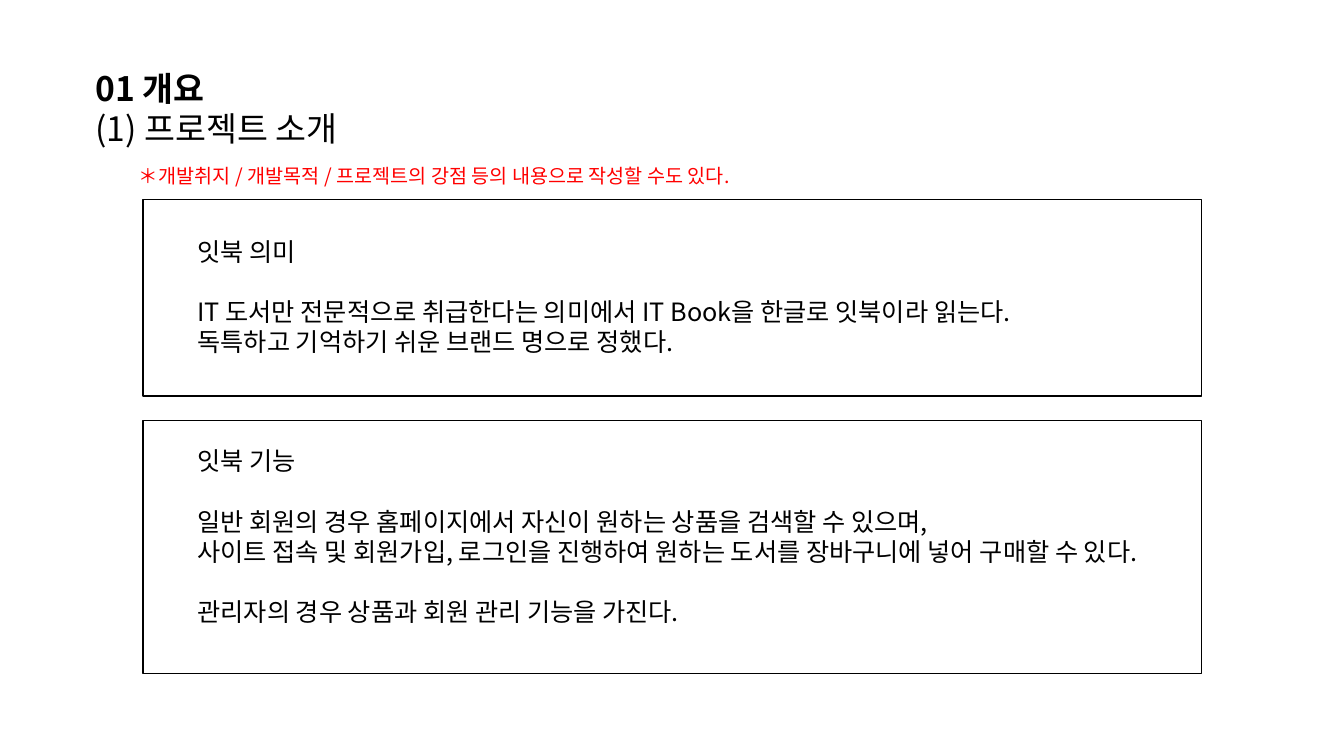
from dataclasses import dataclass

from lxml.etree import SubElement
from pptx import Presentation
from pptx.dml.color import RGBColor
from pptx.enum.shapes import MSO_SHAPE
from pptx.enum.text import MSO_AUTO_SIZE
from pptx.oxml.ns import qn
from pptx.slide import Slide
from pptx.util import Inches, Pt

FONT = "Noto Sans CJK KR"
BLACK, RED = "000000", "FF0000"
FRAME_LEFT, FRAME_WIDTH = 1.42, 10.5
BODY_LEFT = 1.86
LINE_GAP = 21.6


@dataclass
class Line:
    """One line of text, with the space above it in points."""
    text: str
    bold: bool = False
    gap: float = 0


@dataclass
class TextBlock:
    """Lines sharing a place, size and colour."""
    left: float
    top: float
    width: float
    height: float
    size: int
    lines: list[Line]
    color: str = BLACK


@dataclass
class Section:
    """A framed part of the overview with its text."""
    frame_top: float
    frame_height: float
    body: TextBlock


def rgb(value: str) -> RGBColor:
    """Turn a hex string into a colour."""
    return RGBColor.from_string(value)


def apply(target: object, values: dict) -> None:
    """Set each attribute named in values."""
    for name, value in values.items():
        setattr(target, name, value)


def add_block(slide: Slide, block: TextBlock) -> None:
    """Add a text box that holds the lines of a block."""
    place = map(Inches, (block.left, block.top, block.width, block.height))
    frame = slide.shapes.add_textbox(*place).text_frame
    apply(frame, {"word_wrap": False, "auto_size": MSO_AUTO_SIZE.SHAPE_TO_FIT_TEXT})
    for index, line in enumerate(block.lines):
        paragraph = frame.add_paragraph() if index else frame.paragraphs[0]
        paragraph.space_before = Pt(line.gap)
        run = paragraph.add_run()
        run.text = line.text
        apply(run.font, {"name": FONT, "size": Pt(block.size), "bold": line.bold})
        run.font.color.rgb = rgb(block.color)
        SubElement(run.font._element, qn("a:ea"), typeface=FONT)


def add_section(slide: Slide, section: Section) -> None:
    """Add the text of a section and the frame around it."""
    add_block(slide, section.body)
    place = map(Inches, (FRAME_LEFT, section.frame_top, FRAME_WIDTH, section.frame_height))
    frame = slide.shapes.add_shape(MSO_SHAPE.RECTANGLE, *place)
    frame.shadow.inherit = False
    frame.fill.background()
    frame.line.color.rgb = rgb(BLACK)
    frame.line.width = Pt(1)


HEADING = TextBlock(0.85, 0.62, 2.73, 0.91, 24, [
    Line("01 개요", bold=True),
    Line("(1) 프로젝트 소개"),
])
REMARK = TextBlock(1.28, 1.58, 6.85, 0.34, 14, [
    Line("*개발취지 / 개발목적 / 프로젝트의 강점 등의 내용으로 작성할 수도 있다.".replace("*", "\uff0a")),
], RED)
SECTIONS = [
    Section(1.98, 1.95, TextBlock(BODY_LEFT, 2.29, 8.52, 1.31, 18, [
        Line("잇북 의미"),
        Line("IT 도서만 전문적으로 취급한다는 의미에서 IT Book을 한글로 잇북이라 읽는다.", gap=LINE_GAP),
        Line("독특하고 기억하기 쉬운 브랜드 명으로 정했다."),
    ])),
    Section(4.17, 2.51, TextBlock(BODY_LEFT, 4.37, 9.95, 1.92, 18, [
        Line("잇북 기능"),
        Line("일반 회원의 경우 홈페이지에서 자신이 원하는 상품을 검색할 수 있으며,", gap=LINE_GAP),
        Line("사이트 접속 및 회원가입, 로그인을 진행하여 원하는 도서를 장바구니에 넣어 구매할 수 있다."),
        Line("관리자의 경우 상품과 회원 관리 기능을 가진다.", gap=LINE_GAP),
    ])),
]

presentation = Presentation()
apply(presentation, {"slide_width": Inches(13.33), "slide_height": Inches(7.5)})
overview = presentation.slides.add_slide(presentation.slide_layouts[6])
add_block(overview, HEADING)
for part in SECTIONS:
    add_section(overview, part)
add_block(overview, REMARK)
presentation.save("out.pptx")
